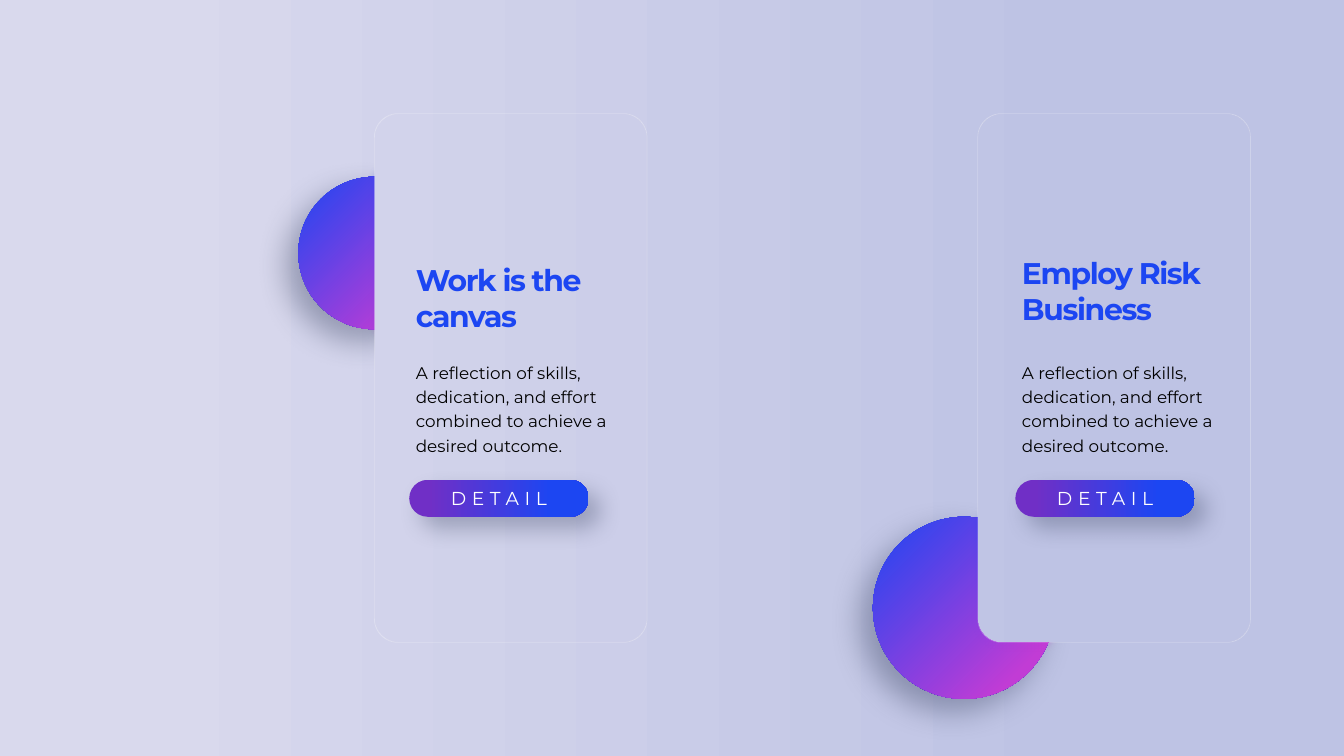
"""Build a slide with two glass cards set over gradient discs."""
from math import cos, radians, sin

from lxml import etree
from pptx import Presentation, util as u
from pptx.dml.color import RGBColor
from pptx.enum import shapes, text
from pptx.oxml.ns import qn

HUES = dict(pale="D9D9ED", mist="BEC3E4", pink="C13CD5", blue="1C46F2",
            plum="702FC6", white="FFFFFF", black="000000", shade="283250")
FONT = "Montserrat"
BODY = ("A reflection of skills, dedication, and effort combined "
        "to achieve a desired outcome.")
CARDS = [
    dict(left=5.58, disc=(4.44, 2.63, 2.27), arcs=[(5.47, 3.76, 1.34, -90, 90)],
         alpha=65, title="Work is the canvas", copy=(6.09, 3.84, 3.2)),
    dict(left=14.56, disc=(12.99, 7.69, 2.71),
         arcs=[(14.2, 9.1, 1.61, -80.7, 21.5), (14.86, 9.29, 0.4, 90, 180)],
         alpha=None, title="Employ Risk Business", copy=(15.11, 3.74, 3.29)),
]


def hue(name):
    return RGBColor.from_string(HUES[name])


def sub(node, tag, **attrs):
    return etree.SubElement(node, qn(tag), {k: str(v) for k, v in attrs.items()})


def fade(node, alpha):
    for clr in node.iter(qn("a:srgbClr")):
        sub(clr, "a:alpha", val=alpha * 1000)


def blend(fill, *stops):
    fill.gradient()
    fill.gradient_angle = 0
    for stop, (place, name) in zip(fill.gradient_stops, stops):
        stop.position = place / 100
        stop.color.rgb = hue(name)


def glow(shape, alpha=None):
    blend(shape.fill, (17, "pink"), (100, "blue"))
    grad = shape._element.spPr.find(qn("a:gradFill"))
    grad.remove(grad.find(qn("a:lin")))
    sub(sub(grad, "a:path", path="circle"), "a:fillToRect", l=100000, t=100000)
    if alpha:
        fade(grad, alpha)


def shadow(shape, alpha, blur, dist, angle):
    effects = shape._element.spPr.find(qn("a:effectLst"))
    outer = sub(effects, "a:outerShdw", blurRad=u.Pt(blur), dist=u.Pt(dist),
                dir=angle * 60000, algn="ctr", rotWithShape=0)
    sub(outer, "a:srgbClr", val=HUES["shade"])
    fade(outer, alpha)


def write(frame, words, size, color=None, bold=False, space=0, align=None,
          lead=None):
    frame.word_wrap = True
    para = frame.paragraphs[0]
    para.alignment, para.line_spacing = align, lead
    run = para.add_run()
    run.text = words
    font = run.font
    font.name, font.size, font.bold = FONT, u.Pt(size), bold
    if color:
        font.color.rgb = hue(color)
    else:
        blend(font.fill, (11, "blue"), (80, "plum"))
    if space:
        run._r.get_or_add_rPr().set("spc", str(int(space * 100)))


class Deck:
    """Hold the style and the current slide."""

    def __init__(self):
        self.prs = Presentation()
        self.prs.slide_width, self.prs.slide_height = u.Inches(20), u.Inches(11.25)
        self.slide = self.prs.slides.add_slide(self.prs.slide_layouts[6])
        blend(self.slide.background.fill, (11, "pale"), (80, "mist"))

    def shape(self, kind, box, adj=None, tree=None):
        tree = tree or self.slide.shapes
        item = tree.add_shape(kind, *map(u.Inches, box))
        item.shadow.inherit = False
        item.line.fill.background()
        if adj is not None:
            item.adjustments[0] = adj
        return item

    def disc(self, left, top, size):
        item = self.shape(shapes.MSO_SHAPE.OVAL, (left, top, size, size))
        glow(item)
        shadow(item, 36, 33, 19, 135)

    def blur(self, tree, arcs, alpha):
        spots = []
        for x, y, r, start, end in arcs:
            turns = [radians(start + (end - start) * i / 40) for i in range(41)]
            spots += [(u.Inches(x + r * cos(t)), u.Inches(y + r * sin(t)))
                      for t in turns]
        path = tree.build_freeform(*spots[0])
        path.add_line_segments(spots[1:], close=True)
        item = path.convert_to_shape()
        item.shadow.inherit = False
        item.line.fill.background()
        glow(item, alpha)
        sub(item._element.spPr.find(qn("a:effectLst")), "a:softEdge", rad=u.Pt(10))

    def glass(self, left, arcs, alpha):
        tree = self.slide.shapes.add_group_shape().shapes
        kind, box = shapes.MSO_SHAPE.ROUNDED_RECTANGLE, (left, 1.7, 4.04, 7.85)
        back = self.shape(kind, box, 0.088, tree)
        back._element.set("useBgFill", "1")
        shadow(back, 23, 43, 39, 45)
        self.blur(tree, arcs, alpha)
        pane = self.shape(kind, box, 0.084, tree)
        for fill in (pane.fill, pane.line.fill):
            fill.solid()
            fill.fore_color.rgb = hue("white")
        pane.line.width = u.Pt(2)
        fade(pane._element.spPr, 25)

    def label(self, box, words, size, **style):
        item = self.slide.shapes.add_textbox(*map(u.Inches, box))
        write(item.text_frame, words, size, **style)
        item.text_frame.auto_size = text.MSO_AUTO_SIZE.SHAPE_TO_FIT_TEXT

    def button(self, left, words):
        item = self.shape(shapes.MSO_SHAPE.ROUNDED_RECTANGLE,
                          (left, 7.14, 2.67, 0.55), 0.5)
        blend(item.fill, (11, "plum"), (80, "blue"))
        shadow(item, 31, 25, 18, 45)
        item.text_frame.vertical_anchor = text.MSO_ANCHOR.MIDDLE
        write(item.text_frame, words, 20, color="white", space=6,
              align=text.PP_ALIGN.CENTER)


def main():
    deck = Deck()
    for card in CARDS:
        deck.disc(*card["disc"])
        deck.glass(card["left"], card["arcs"], card["alpha"])
    for card in CARDS:
        left, top, width = card["copy"]
        deck.label((left, top, width, 1.18), card["title"], 32, bold=True,
                   space=-1.5)
        deck.label((left, 5.29, width, 1.56), BODY, 18, color="black", lead=1.2)
        deck.button(left, "DETAIL")
    deck.prs.save("out.pptx")


if __name__ == "__main__":
    main()
